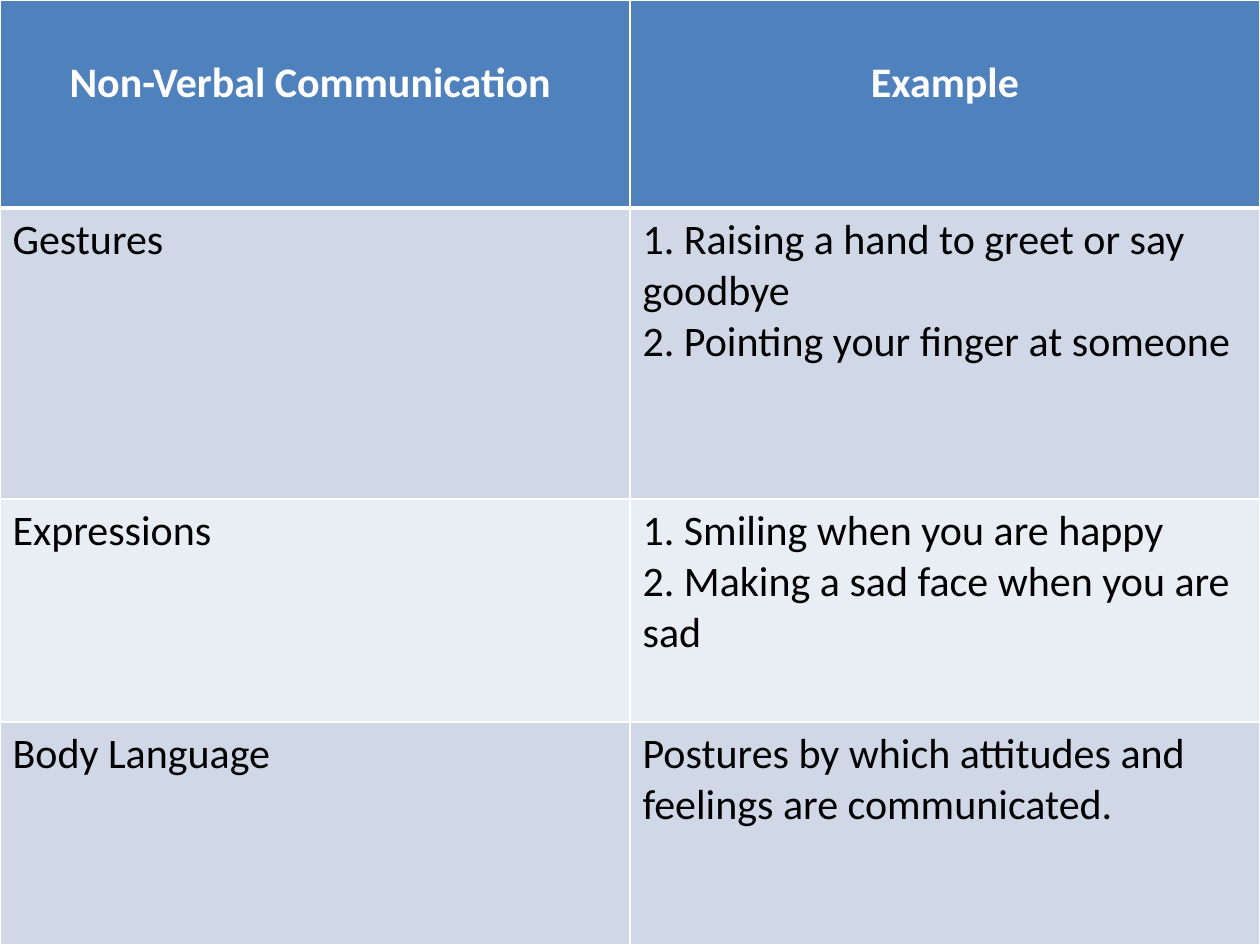
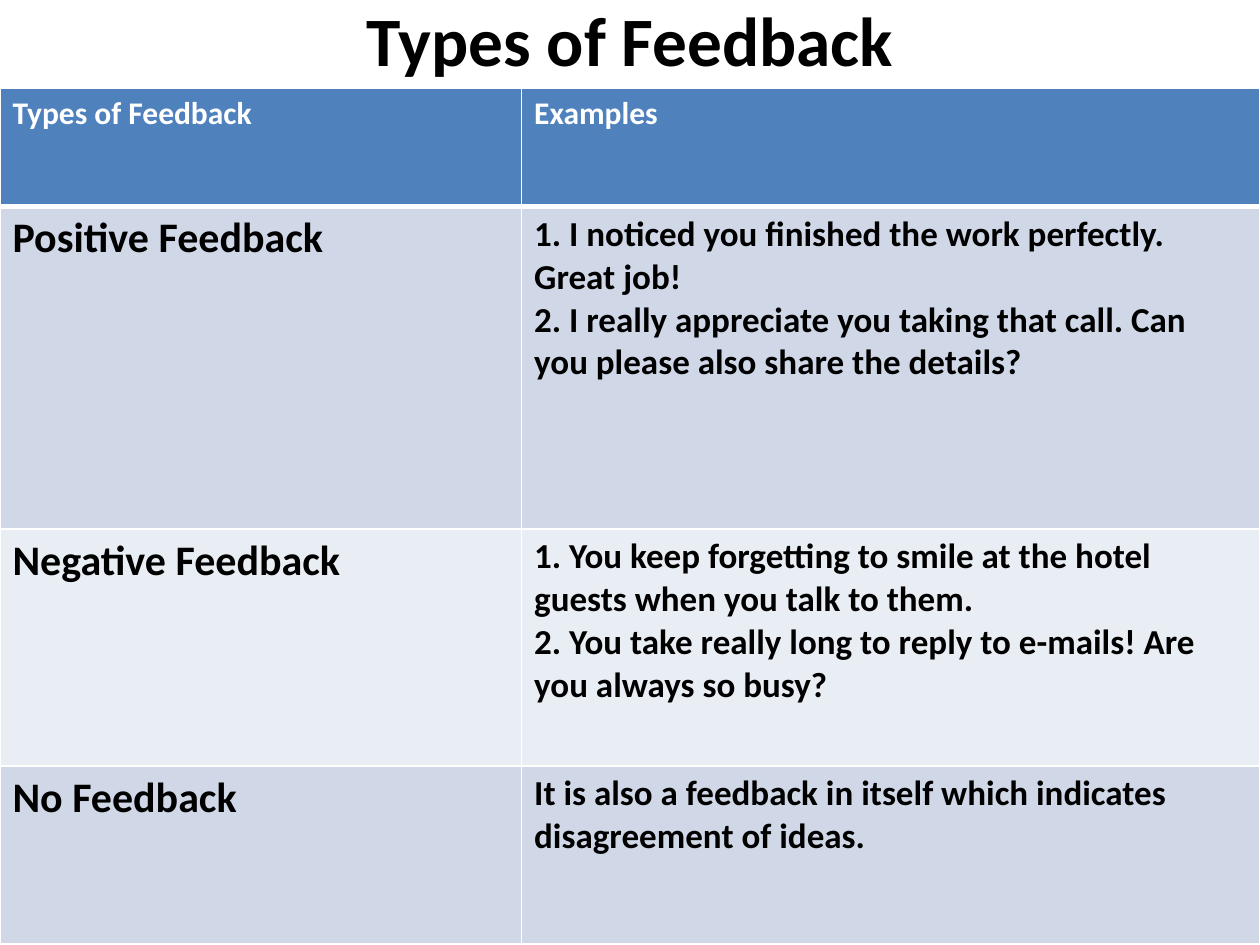
from lxml import etree
from pptx import Presentation
from pptx.dml.color import RGBColor
from pptx.enum import text
from pptx.oxml.ns import qn
from pptx.util import Inches, Pt

FONT = "Calibri"
WHITE, BLACK = "FFFFFF", "000000"
HEADER = "4F81BD"
BANDS = ("D0D8E8", "E9EDF4")
RULE, HEADER_RULE = 1, 3  # border widths in points


def rgb(hex_color):
    return RGBColor.from_string(hex_color)


def write(tf, content, size, color, bold, align=text.PP_ALIGN.LEFT):
    p = tf.paragraphs[0]
    p.text = content
    p.alignment = align
    p.font.name, p.font.size, p.font.bold = FONT, Pt(size), bold
    p.font.color.rgb = rgb(color)


def set_borders(cell, top, bottom):
    tc_pr = cell._tc.get_or_add_tcPr()
    widths = {"a:lnL": RULE, "a:lnR": RULE, "a:lnT": top, "a:lnB": bottom}
    for tag, width in widths.items():
        ln = etree.SubElement(tc_pr, qn(tag), w=str(Pt(width)))
        fill = etree.SubElement(ln, qn("a:solidFill"))
        etree.SubElement(fill, qn("a:srgbClr"), val=WHITE)


def add_title(slide, box, content):
    sp = slide.shapes.add_textbox(*map(Inches, box))
    tf = sp.text_frame
    tf.word_wrap = True
    tf.vertical_anchor = text.MSO_ANCHOR.MIDDLE
    write(tf, content, 39.6, BLACK, True, text.PP_ALIGN.CENTER)


def add_banded_table(slide, box, col_widths, row_heights, rows, header_size,
                     body_sizes, body_bold, header_align=text.PP_ALIGN.LEFT,
                     header_top=0.05):
    """Table with a blue header row and alternating body bands."""
    frame = slide.shapes.add_table(len(rows), len(col_widths), *map(Inches, box))
    table = frame.table
    for column, width in zip(table.columns, col_widths):
        column.width = Inches(width)
    for row, height in zip(table.rows, row_heights):
        row.height = Inches(height)

    for i, row in enumerate(rows):
        for j, content in enumerate(row):
            cell = table.cell(i, j)
            set_borders(cell, top=HEADER_RULE if i == 1 else RULE,
                        bottom=HEADER_RULE if i == 0 else RULE)
            cell.fill.solid()
            if i == 0:
                cell.fill.fore_color.rgb = rgb(HEADER)
                cell.margin_top = Inches(header_top)
                write(cell.text_frame, content, header_size, WHITE, True,
                      header_align)
            else:
                cell.fill.fore_color.rgb = rgb(BANDS[(i - 1) % 2])
                write(cell.text_frame, content, body_sizes[j], BLACK, body_bold)


def non_verbal_slide(prs):
    slide = prs.slides.add_slide(prs.slide_layouts[6])
    rows = [
        ("Non-Verbal Communication ", "Example"),
        ("Gestures", "1. Raising a hand to greet or say goodbye\n"
                     "2. Pointing your finger at someone"),
        ("Expressions", "1. Smiling when you are happy\n"
                        "2. Making a sad face when you are sad"),
        ("Body Language",
         "Postures by which attitudes and feelings are communicated."),
    ]
    # The header text sits one line below the top of its row
    add_banded_table(slide, (0, 0, 10, 7.5), (5, 5), (1.65, 2.31, 1.77, 1.77),
                     rows, 24, (24, 24), False, text.PP_ALIGN.CENTER, 0.46)


def feedback_slide(prs):
    slide = prs.slides.add_slide(prs.slide_layouts[6])
    add_title(slide, (0.5, 0, 9, 0.62), "Types of Feedback")
    rows = [
        ("Types of Feedback", "Examples"),
        ("Positive Feedback",
         "1. I noticed you finished the work perfectly. Great job!\n"
         "2. I really appreciate you taking that call. "
         "Can you please also share the details?"),
        ("Negative Feedback",
         "1. You keep forgetting to smile at the hotel guests "
         "when you talk to them.\n"
         "2. You take really long to reply to e-mails! Are you always so busy?"),
        ("No Feedback", "It is also a feedback in itself which indicates "
                        "disagreement of ideas."),
    ]
    add_banded_table(slide, (0, 0.7, 10, 6.8), (4.14, 5.86),
                     (0.94, 2.56, 1.88, 1.41), rows, 18, (24, 20), True)


def main():
    prs = Presentation()
    prs.slide_width, prs.slide_height = Inches(10), Inches(7.5)
    non_verbal_slide(prs)
    feedback_slide(prs)
    prs.save("out.pptx")


if __name__ == "__main__":
    main()
